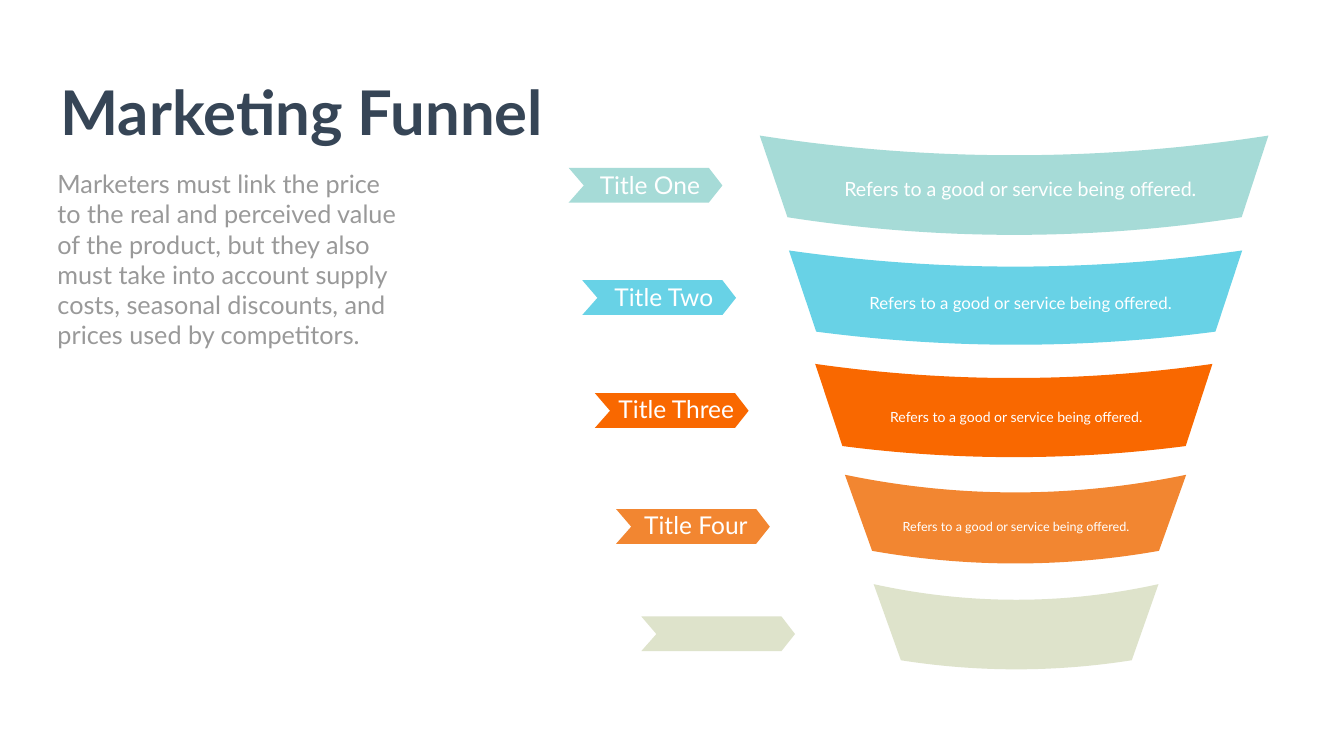
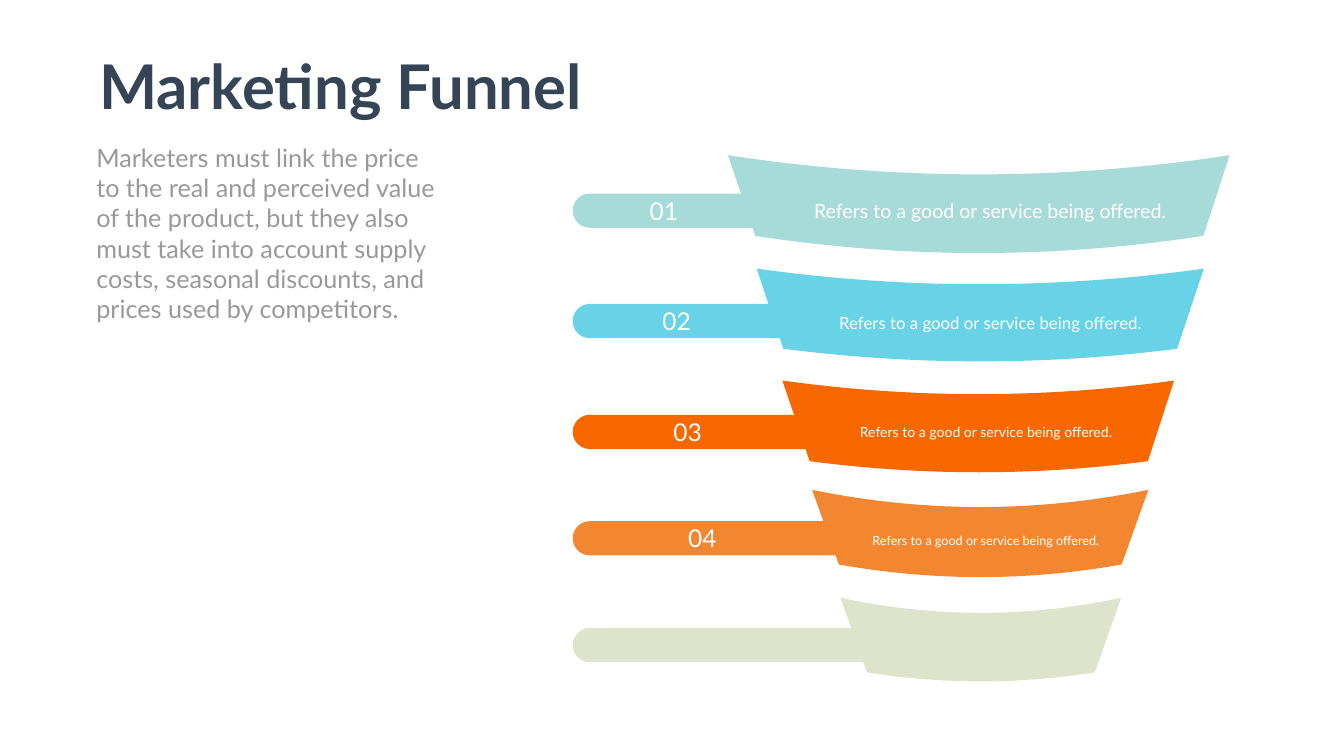
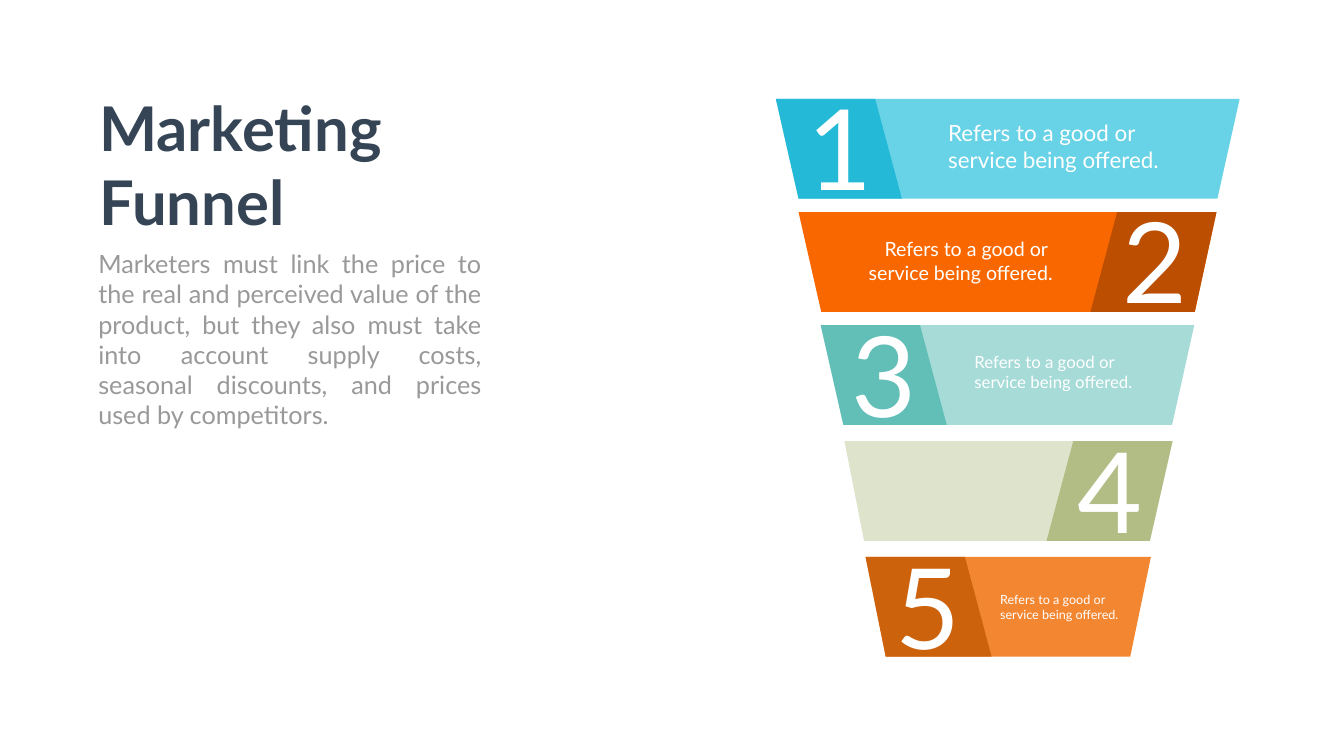
from typing import NamedTuple

from pptx import Presentation
from pptx.dml.color import RGBColor as Rgb
from pptx.enum.shapes import MSO_SHAPE as Kind
from pptx.enum.text import MSO_ANCHOR as Anchor, MSO_AUTO_SIZE as Fit, PP_ALIGN as Align
from pptx.oxml.ns import qn
from pptx.util import Pt

PX = 9144  # one px is a hundredth of an inch
FONT = "Lato"
HEX = {
    "navy": "364556", "gray": "999999", "white": "FFFFFF",
    "mint": "A6DBD7", "sky": "68D2E6", "flame": "F96800",
    "amber": "F28631", "sage": "DEE3CB",
    "teal": "61BFB8", "azure": "24BAD7", "rust": "BB4E00",
    "olive": "B2BD85", "clay": "CD620D",
}
HEAD = "Marketing Funnel"
INTRO = ("Marketers must link the price to the real and perceived value of the "
         "product, but they also must take into account supply costs, seasonal "
         "discounts, and prices used by competitors.")
NOTE = "Refers to a good or service being offered."


class Box(NamedTuple):
    x: int
    y: int
    w: int
    h: int


class Band(NamedTuple):
    """Funnel band: upper edge, its dip, lower edge, its dip."""
    left: int
    right: int
    top: int
    dip: int
    low_left: int
    low_right: int
    low: int
    base: int
    color: str


class Note(NamedTuple):
    """Caption of a band, and its top in the smaller funnel."""
    box: Box
    size: int
    top: int


class Label(NamedTuple):
    text: str
    box: Box


class Step(NamedTuple):
    """Straight funnel step with a numbered flap."""
    left: int
    right: int
    low_left: int
    low_right: int
    top: int
    color: str
    flap: str
    digit: Box


# Data: the pale last band and the pale fourth step carry no caption
BANDS = [
    Band(1507, 2516, 269, 308, 1562, 2463, 431, 466, "mint"),
    Band(1565, 2464, 497, 529, 1619, 2411, 658, 684, "sky"),
    Band(1617, 2405, 722, 750, 1671, 2352, 885, 907, "flame"),
    Band(1676, 2353, 942, 977, 1730, 2299, 1093, 1118, "amber"),
    Band(1733, 2298, 1159, 1190, 1787, 2245, 1310, 1328, "sage"),
]
NOTES = [
    Note(Box(1652, 347, 744, 57), 28, 390),
    Note(Box(1696, 576, 657, 50), 24, 616),
    Note(Box(1753, 806, 526, 44), 20, 835),
    Note(Box(1772, 1024, 487, 40), 18, 1053),
]
TAGS = [(1128, 333), (1155, 556), (1180, 780), (1222, 1010), (1272, 1223)]
CHEVRON = [(278, 69), (0, 69), (30, 35), (0, 0), (278, 0), (305, 35)]
TITLES = [
    Label("Title One", Box(1180, 333, 221, 69)),
    Label("Title Two", Box(1209, 554, 224, 69)),
    Label("Title Three", Box(1217, 776, 255, 69)),
    Label("Title Four", Box(1268, 1007, 229, 69)),
]
BARS = [384, 603, 823, 1034, 1246]
COUNTS = [
    Label("01", Box(1279, 383, 77, 69)),
    Label("02", Box(1304, 603, 77, 69)),
    Label("03", Box(1326, 822, 77, 69)),
    Label("04", Box(1355, 1033, 77, 69)),
]
STEPS = [
    Step(1539, 2459, 1584, 2415, 196, "sky", "azure", Box(1592, 150, 155, 289)),
    Step(1584, 2413, 1629, 2370, 421, "flame", "rust", Box(2216, 375, 150, 279)),
    Step(1628, 2369, 1673, 2325, 645, "mint", "teal", Box(1679, 602, 150, 279)),
    Step(1675, 2326, 1714, 2281, 875, "sage", "olive", Box(2128, 831, 150, 279)),
    Step(1717, 2283, 1757, 2242, 1105, "amber", "clay", Box(1766, 1062, 150, 279)),
]
STEP_H = 198
STEP_NOTES = {
    1: Note(Box(1871, 231, 446, 118), 32, 231),
    2: Note(Box(1705, 466, 393, 104), 28, 466),
    3: Note(Box(1923, 693, 339, 91), 24, 693),
    5: Note(Box(1974, 1169, 260, 71), 18, 1169),
}


# Drawing
def rgb(name: str) -> Rgb:
    return Rgb.from_string(HEX[name])


def place(shape, box: Box) -> None:
    shape.left, shape.top, shape.width, shape.height = (v * PX for v in box)


def write(shape, text: str, *, size: int, color: str = "white", bold: bool = False,
          align=Align.LEFT, wrap: bool = False, plain: bool = False) -> None:
    frame = shape.text_frame
    frame.auto_size = Fit.NONE
    frame.word_wrap = wrap
    frame.vertical_anchor = Anchor.TOP
    for i, line in enumerate(text.split("\n")):
        para = frame.add_paragraph() if i else frame.paragraphs[0]
        if plain:  # a list placeholder without its bullet
            props = para._p.get_or_add_pPr()
            props.set("marL", "0")
            props.set("indent", "0")
            props.append(props.makeelement(qn("a:buNone"), {}))
        para.alignment = align
        para.space_before = Pt(0)
        run = para.add_run()
        run.text = line
        font = run.font
        font.name, font.size, font.bold = FONT, Pt(size), bold
        font.color.rgb = rgb(color)


def label(slide, box: Box, text: str, **style) -> None:
    write(slide.shapes.add_textbox(*(v * PX for v in box)), text, **style)


def paint(shape, color: str) -> None:
    shape.shadow.inherit = False
    shape.fill.solid()
    shape.fill.fore_color.rgb = rgb(color)
    shape.line.fill.background()


def outline(slide, points: list, color: str):
    first, *rest = points
    pen = slide.shapes.build_freeform(*first, scale=PX)
    pen.add_line_segments(rest, close=True)
    shape = pen.convert_to_shape()
    paint(shape, color)
    return shape


def sag(left: int, right: int, y: int, dip: int) -> list:
    """Control and end points of two curves that hang from y down to dip."""
    span = right - left
    spots = [round(left + span * part / 4) for part in (1, 2, 3)]
    return [(x, dip) for x in spots] + [(right, y)]


def draw_band(slide, band: Band) -> None:
    upper = sag(band.left, band.right, band.top, band.dip)
    lower = sag(band.low_right, band.low_left, band.low, band.base)
    shape = outline(slide, [(band.left, band.top), *upper,
                            (band.low_right, band.low), *lower], band.color)
    # Turn each control and end pair of lines into one curve
    lines = list(shape._element.iter(qn("a:lnTo")))
    for i in (0, 2, 5, 7):
        curve = lines[i].makeelement(qn("a:quadBezTo"), {})
        lines[i].addprevious(curve)
        for line in lines[i:i + 2]:
            curve.append(line[0])
            line.getparent().remove(line)


def shrink(band: Band, ratio: float = 0.986) -> Band:
    """The band as it stands in the smaller, shifted funnel."""
    def across(x: int) -> int:
        return round(1444 + (x - 1507) * ratio)

    def down(y: int) -> int:
        return round(308 + (y - 269) * ratio)

    return Band(across(band.left), across(band.right), down(band.top), down(band.dip),
                across(band.low_left), across(band.low_right), down(band.low),
                down(band.base), band.color)


def draw_step(slide, num: int, step: Step) -> None:
    low = step.top + STEP_H
    outline(slide, [(step.left, step.top), (step.low_left, low),
                    (step.low_right, low), (step.right, step.top)], step.color)
    odd = num % 2 == 1  # odd flaps sit on the left, even ones on the right
    edge, foot, sign = ((step.left, step.low_left, 1) if odd
                        else (step.right, step.low_right, -1))
    outline(slide, [(edge, step.top), (foot, low), (edge + sign * 250, low),
                    (edge + sign * 197, step.top)], step.flap)
    label(slide, step.digit, str(num), size=160)
    if num in STEP_NOTES:
        note = STEP_NOTES[num]
        gap = "" if odd else " "
        label(slide, note.box, f"Refers to a good or{gap}\nservice being offered.",
              size=note.size, align=Align.LEFT if odd else Align.RIGHT)


def start(deck, head: Box, intro: Box, title: str = HEAD, align=Align.LEFT):
    slide = deck.slides.add_slide(deck.slide_layouts[1])
    name, body = slide.shapes.title, slide.placeholders[1]
    place(name, head)
    write(name, title, size=88, color="navy", bold=True)
    place(body, intro)
    write(body, INTRO, size=36, color="gray", align=align, wrap=True, plain=True)
    return slide


def caption(slide, box: Box, size: int) -> None:
    label(slide, box, NOTE, size=size, align=Align.CENTER, wrap=True)


# Slides
def tag_slide(deck) -> None:
    slide = start(deck, Box(110, 142, 995, 158), Box(104, 329, 696, 374))
    for band, (left, top) in zip(BANDS, TAGS):
        draw_band(slide, band)
        outline(slide, [(left + x, top + y) for x, y in CHEVRON], band.color)
    for title, note in zip(TITLES, NOTES):
        label(slide, title.box, title.text, size=35)
        caption(slide, note.box, note.size)


def bar_slide(deck) -> None:
    slide = start(deck, Box(187, 90, 995, 158), Box(181, 277, 696, 374))
    for band, top in zip(BANDS, BARS):
        bar = slide.shapes.add_shape(
            Kind.ROUNDED_RECTANGLE, *(v * PX for v in Box(1136, top, 1028, 68)))
        bar.adjustments[0] = 0.5
        paint(bar, band.color)
        draw_band(slide, shrink(band))
    for count, note in zip(COUNTS, NOTES):
        label(slide, count.box, count.text, size=35)
        caption(slide, note.box._replace(x=note.box.x - 60, y=note.top), note.size)


def step_slide(deck) -> None:
    slide = start(deck, Box(187, 173, 596, 306), Box(185, 488, 780, 374),
                  title=HEAD.replace(" ", "\n"), align=Align.JUSTIFY)
    for num, step in enumerate(STEPS, 1):
        draw_step(slide, num, step)


def main() -> None:
    deck = Presentation()
    deck.slide_width, deck.slide_height = 2666 * PX, 1500 * PX
    tag_slide(deck)
    bar_slide(deck)
    step_slide(deck)
    deck.save("out.pptx")


if __name__ == "__main__":
    main()
